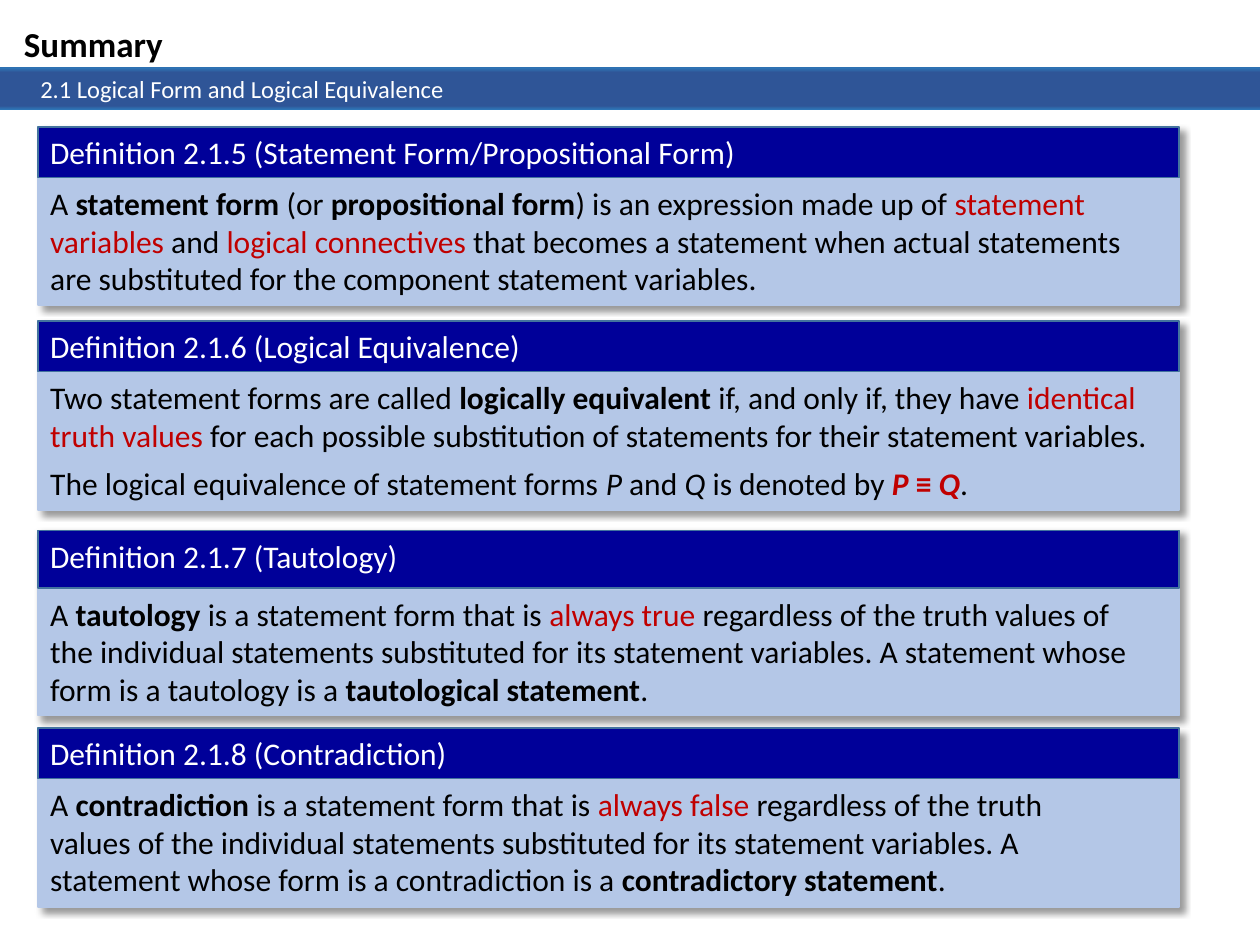
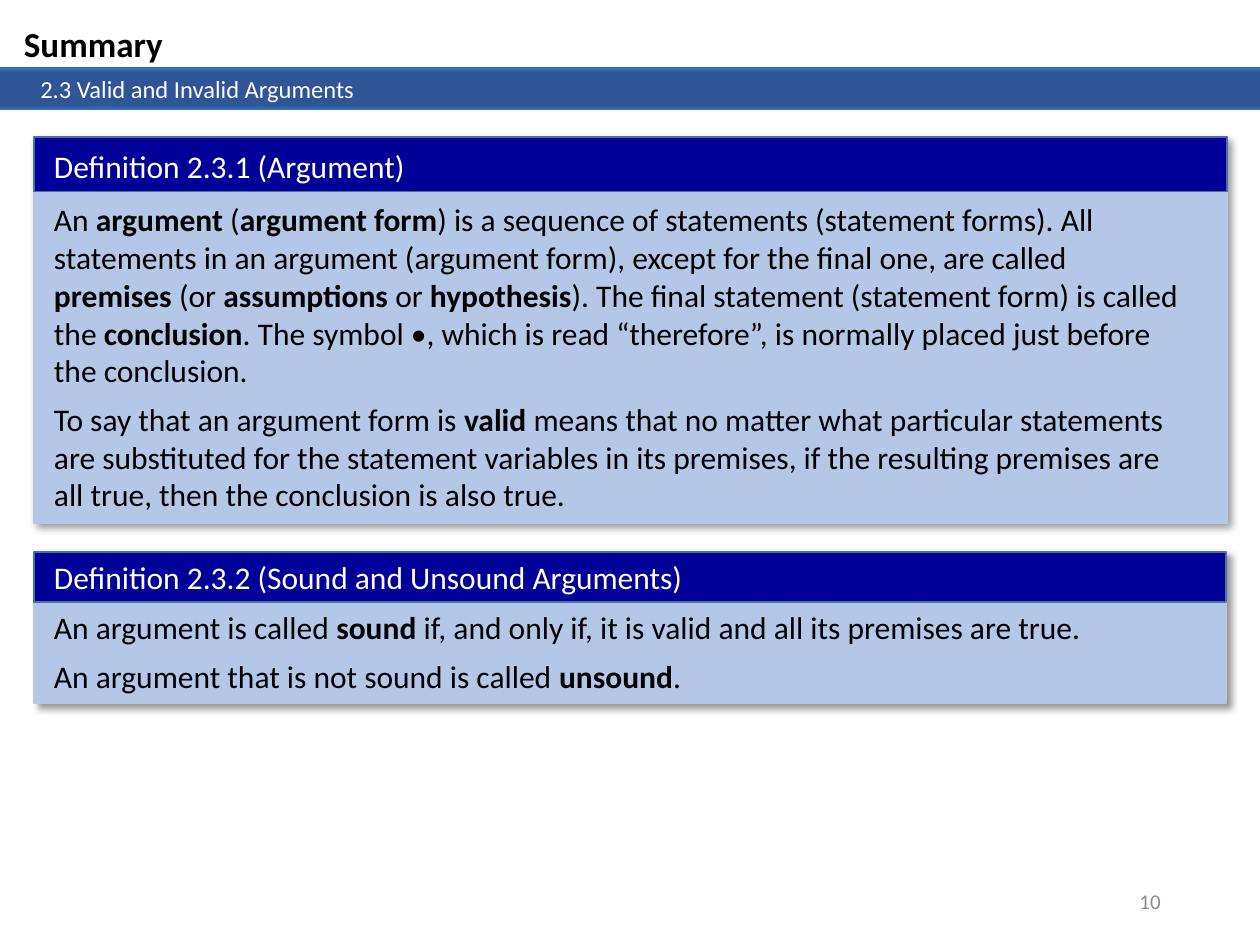
from lxml.etree import SubElement
from pptx import Presentation
from pptx.dml.color import RGBColor
from pptx.enum.shapes import MSO_SHAPE
from pptx.enum.text import MSO_ANCHOR, PP_ALIGN
from pptx.oxml import parse_xml
from pptx.oxml.ns import nsdecls, qn
from pptx.util import Inches, Pt

FONT = "Calibri"
WHITE, BLACK, GREY, RED = "FFFFFF", "000000", "8C8C8C", "C00000"
PALE, NAVY, EDGE = "B4C7E7", "000099", "43739E"
STOPS = [(0, "2E75B6"), (11, "2F5597"), (91, "2F5597"), (100, "2E75B6")]
MARKS = {"*": "bold", "_": "italic", "~": "red"}

LOGIC = [
    dict(box=(0.3, 1.01, 9.06, 1.41), wide=8.88,
         title="Definition 2.1.5 (Statement Form/Propositional Form)",
         paras=["A *statement form* (or *propositional form*) is an expression made up of "
                "~statement variables ~and ~logical connectives~ that becomes a statement when "
                "actual statements are substituted for the component statement variables."]),
    dict(box=(0.3, 2.55, 9.06, 1.5), wide=8.98,
         title="Definition 2.1.6 (Logical Equivalence)",
         paras=["Two statement forms are called *logically equivalent *if, and only if, they have "
                "~identical truth values ~for each possible substitution of statements for their "
                "statement variables.",
                "The logical equivalence of statement forms _P_ and _Q_ is denoted by "
                "~*_P _≡ _Q_*~."]),
    dict(box=(0.3, 4.21, 9.06, 1.47), wide=8.98, head=0.46,
         title="Definition 2.1.7 (Tautology)",
         paras=["A *tautology *is a statement form that is ~always true ~regardless of the truth "
                "values of the individual statements substituted for its statement variables. A "
                "statement whose form is a tautology is a *tautological statement*."]),
    dict(box=(0.3, 5.78, 9.06, 1.42), wide=8.24,
         title="Definition 2.1.8 (Contradiction)",
         paras=["A *contradiction *is a statement form that is ~always false ~regardless of the "
                "truth values of the individual statements substituted for its statement "
                "variables. A statement whose form is a contradiction is a "
                "*contradictory statement*."]),
]
PROOF = [
    dict(box=(0.27, 1.09, 9.47, 3.06), wide=9.12, head=0.43, pad=0.06, drop=0.03, gap=0.02,
         title="Definition 2.3.1 (Argument)",
         paras=["An *argument* (*argument form*) is a sequence of statements (statement forms). "
                "All statements in an argument (argument form), except for the final one, are "
                "called *premises* (or *assumptions* or *hypothesis*). The final statement "
                "(statement form) is called the *conclusion*. The symbol •, which is read "
                "“therefore”, is normally placed just before the conclusion.",
                "To say that an argument form is *valid* means that no matter what particular "
                "statements are substituted for the statement variables in its premises, if the "
                "resulting premises are all true, then the conclusion is also true."]),
    dict(box=(0.27, 4.38, 9.46, 1.2), wide=8.42, pad=0.06,
         title="Definition 2.3.2 (Sound and Unsound Arguments)",
         paras=["An argument is called *sound* if, and only if, it is valid and all its premises "
                "are true.",
                "An argument that is not sound is called *unsound*."]),
]


def paint(target, code):
    target.rgb = RGBColor.from_string(code)


def style(font, size, code, bold=False, italic=False):
    font.name, font.size = FONT, Pt(size)
    font.bold, font.italic = bold, italic
    paint(font.color, code)


def rect(shapes, box, fill=None, line=None):
    shape = shapes.add_shape(MSO_SHAPE.RECTANGLE, *map(Inches, box))
    shape.shadow.inherit = False
    if fill:
        shape.fill.solid()
        paint(shape.fill.fore_color, fill)
    if line:
        shape.line.width = Pt(1)
        paint(shape.line.color, line)
    else:
        shape.line.fill.background()
    return shape


def label(shapes, box, text, size, code):
    shape = shapes.add_textbox(*map(Inches, box))
    frame = shape.text_frame
    frame.word_wrap = True
    frame.text = text
    style(frame.paragraphs[0].runs[0].font, size, code)
    return frame


def shade(shape):
    props = shape._element.spPr
    stops = "".join(f'<a:gs pos="{pos * 1000}"><a:srgbClr val="{code}"/></a:gs>'
                    for pos, code in STOPS)
    grad = parse_xml(f'<a:gradFill {nsdecls("a")} rotWithShape="1"><a:gsLst>{stops}</a:gsLst>'
                     '<a:lin ang="5400000" scaled="0"/></a:gradFill>')
    props.find(qn("a:prstGeom")).addnext(grad)


def cast(shape):
    effects = shape._element.spPr.find(qn("a:effectLst"))
    outer = SubElement(effects, qn("a:outerShdw"), blurRad=str(Pt(4)), dist=str(Pt(3)),
                       dir="2700000", algn="tl", rotWithShape="0")
    tint = SubElement(outer, qn("a:srgbClr"), val=BLACK)
    SubElement(tint, qn("a:alpha"), val="40000")


def pieces(text):
    flags, part = set(), ""
    for char in text:
        if char in MARKS:
            if part:
                yield part, set(flags)
            flags ^= {MARKS[char]}
            part = ""
        else:
            part += char
    if part:
        yield part, flags


def prose(shapes, box, paras):
    frame = shapes.add_textbox(*map(Inches, box)).text_frame
    frame.word_wrap = True
    for index, text in enumerate(paras):
        para = frame.add_paragraph() if index else frame.paragraphs[0]
        para.space_after = Pt(6)
        for part, flags in pieces(text):
            run = para.add_run()
            run.text = part
            style(run.font, 18, RED if "red" in flags else BLACK,
                  "bold" in flags, "italic" in flags)


def card(slide, box, wide, title, paras, head=0.4, pad=0, drop=0, gap=0):
    left, top, width, height = box
    shapes = slide.shapes.add_group_shape().shapes
    cast(rect(shapes, box, PALE, PALE))
    rect(shapes, (left, top, width, head), NAVY, EDGE)
    label(shapes, (left + pad, top + drop, 8.24, 0.4), title, 18, WHITE)
    start = head + gap
    prose(shapes, (left + pad, top + start, wide, height - start), paras)


def header(slide, topic):
    title = slide.shapes.title
    title.left, title.top, title.width, title.height = map(Inches, (0.09, 0.13, 2.69, 0.44))
    frame = title.text_frame
    frame.text = "Summary"
    frame.vertical_anchor = MSO_ANCHOR.TOP
    frame.paragraphs[0].alignment = PP_ALIGN.LEFT
    style(frame.paragraphs[0].runs[0].font, 20, BLACK, True)
    shade(rect(slide.shapes, (0, 0.53, 10, 0.3)))
    band = rect(slide.shapes, (0, 0.54, 10, 0.33))
    shade(band)
    frame = band.text_frame
    frame.margin_left = Inches(0.32)
    frame.vertical_anchor = MSO_ANCHOR.TOP
    frame.text = topic
    frame.paragraphs[0].alignment = PP_ALIGN.LEFT
    style(frame.paragraphs[0].runs[0].font, 14, WHITE)


def footer(slide, page):
    frame = label(slide.shapes, (7.06, 6.95, 2.25, 0.4), page, 12, GREY)
    frame.vertical_anchor = MSO_ANCHOR.MIDDLE
    frame.paragraphs[0].alignment = PP_ALIGN.RIGHT


def summary(deck, topic, cards, page=None):
    slide = deck.slides.add_slide(deck.slide_layouts[5])
    header(slide, topic)
    if page:
        footer(slide, page)
    for item in cards:
        card(slide, **item)


def main():
    deck = Presentation()
    deck.slide_width, deck.slide_height = Inches(10), Inches(7.5)
    summary(deck, "2.1 Logical Form and Logical Equivalence", LOGIC)
    summary(deck, "2.3 Valid and Invalid Arguments", PROOF, "10")
    deck.save("out.pptx")


if __name__ == "__main__":
    main()
